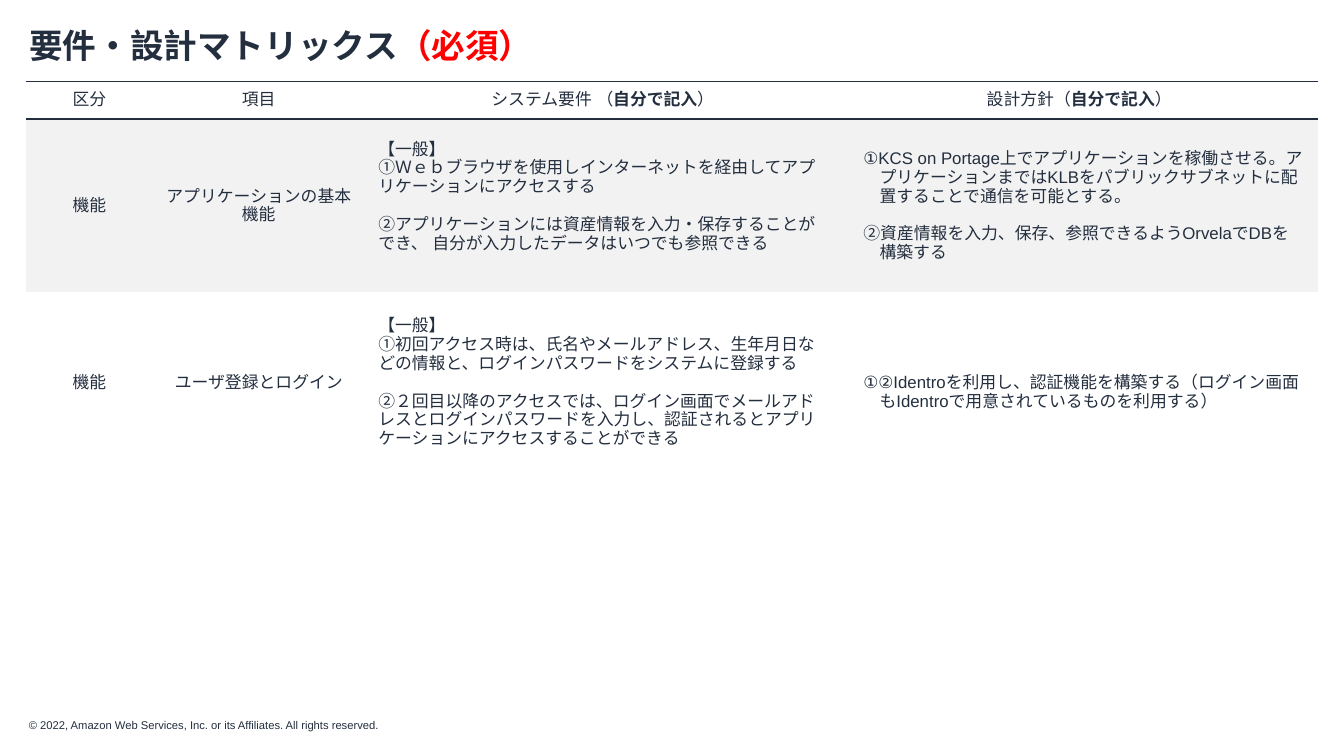
from dataclasses import dataclass

from lxml import etree
from pptx import Presentation
from pptx import util as u
from pptx.dml.color import RGBColor
from pptx.enum import text
from pptx.oxml.ns import qn


@dataclass(frozen=True)
class Theme:
    font: str = "Arial"
    ink: str = "232E3E"
    accent: str = "FF0000"
    band: str = "F2F2F2"
    paper: str = "FFFFFF"
    title_size: float = 18
    body_size: float = 9
    footer_size: float = 6
    rule: float = 0.75
    group_gap: float = 10


THEME = Theme()
WIDTH = u.Inches(10)
HEIGHT = WIDTH * 9 // 16
PLAIN_TABLE_STYLE = "{2D5ABB26-0587-4C30-8999-92F81FD0307C}"

# Shares of the slide, in percent
COLUMNS = [9.4, 15.8, 35.4, 35.5]
ROWS = [5, 22.9, 23.9]

# Cell margins at top and bottom, in inches
EVEN, LOWERED, RAISED = (0.05, 0.05), (0.19, 0.05), (0.05, 0.19)

HEADER = [
    [("区分", False)],
    [("項目", False)],
    [("システム要件 （", False), ("自分で記入", True), ("）", False)],
    [("設計方針（", False), ("自分で記入", True), ("）", False)],
]

# Each row: category, item, groups of lines for requirement and design,
# then the margins of those two cells
BODY = [
    ("機能", "アプリケーションの基本機能",
     [["【一般】",
       "①Ｗｅｂブラウザを使用しインターネットを経由してアプリケーションにアクセスする"],
      ["②アプリケーションには資産情報を入力・保存することができ、 "
       "自分が入力したデータはいつでも参照できる"]],
     [["①KCS on Portage上でアプリケーションを稼働させる。アプリケーションまでは"
       "KLBをパブリックサブネットに配置することで通信を可能とする。"],
      ["②資産情報を入力、保存、参照できるようOrvelaでDBを構築する"]],
     RAISED, EVEN),
    ("機能", "ユーザ登録とログイン",
     [["【一般】",
       "①初回アクセス時は、氏名やメールアドレス、生年月日などの情報と、"
       "ログインパスワードをシステムに登録する"],
      ["②２回目以降のアクセスでは、ログイン画面でメールアドレスとログインパスワードを入力し、"
       "認証されるとアプリケーションにアクセスすることができる"]],
     [["①②Identroを利用し、認証機能を構築する（ログイン画面も"
       "Identroで用意されているものを利用する）"]],
     EVEN, LOWERED),
]


def across(percent):
    return round(WIDTH * percent / 100)


def down(percent):
    return round(HEIGHT * percent / 100)


def add_run(paragraph, words, size, color=THEME.ink, bold=False):
    run = paragraph.add_run()
    run.text = words
    formats = {"name": THEME.font, "size": u.Pt(size), "bold": bold}
    for name, value in formats.items():
        setattr(run.font, name, value)
    run.font.color.rgb = RGBColor.from_string(color)
    # East Asian letters use the same font
    etree.SubElement(run._r.get_or_add_rPr(), qn("a:ea"), typeface=THEME.font)


def add_text(slide, box, runs, size, margins=(0, 0)):
    left, top, width, height = box
    shape = slide.shapes.add_textbox(
        across(left), down(top), across(width), down(height))
    side, end = (u.Inches(margin) for margin in margins)
    formats = {"word_wrap": True, "margin_left": side, "margin_right": side,
               "margin_top": end, "margin_bottom": end}
    for name, value in formats.items():
        setattr(shape.text_frame, name, value)
    for words, color, bold in runs:
        add_run(shape.text_frame.paragraphs[0], words, size, color, bold)


def add_border(cell, side, visible):
    line = etree.SubElement(cell._tc.get_or_add_tcPr(), qn(f"a:ln{side}"),
                            w=str(u.Pt(THEME.rule)))
    if visible:
        fill = etree.SubElement(line, qn("a:solidFill"))
        etree.SubElement(fill, qn("a:srgbClr"), val=THEME.ink)
    else:
        etree.SubElement(line, qn("a:noFill"))


def format_cell(cell, fill, rules="", margins=EVEN):
    top, bottom = margins
    formats = {"margin_left": u.Inches(0.1), "margin_right": u.Inches(0.1),
               "margin_top": u.Inches(top), "margin_bottom": u.Inches(bottom),
               "vertical_anchor": text.MSO_ANCHOR.MIDDLE}
    for name, value in formats.items():
        setattr(cell, name, value)
    for side in "LRTB":
        add_border(cell, side, side in rules)
    cell.fill.solid()
    cell.fill.fore_color.rgb = RGBColor.from_string(fill)


def write_label(cell, runs):
    paragraph = cell.text_frame.paragraphs[0]
    paragraph.alignment = text.PP_ALIGN.CENTER
    for words, bold in runs:
        add_run(paragraph, words, THEME.body_size, bold=bold)


def write_groups(cell, groups, hanging=False):
    frame = cell.text_frame
    for group_index, lines in enumerate(groups):
        for line_index, words in enumerate(lines):
            first = group_index == line_index == 0
            paragraph = frame.paragraphs[0] if first else frame.add_paragraph()
            if group_index and not line_index:
                paragraph.space_before = u.Pt(THEME.group_gap)
            if hanging:
                properties = paragraph._p.get_or_add_pPr()
                properties.set("marL", str(u.Inches(0.19)))
                properties.set("indent", str(u.Inches(-0.12)))
            add_run(paragraph, words, THEME.body_size)


def add_matrix(slide):
    frame = slide.shapes.add_table(
        len(ROWS), len(COLUMNS), across(1.95), down(10.75),
        across(sum(COLUMNS)), down(sum(ROWS)))
    table = frame.table
    table.first_row = table.horz_banding = False
    table._tbl.tblPr.find(qn("a:tableStyleId")).text = PLAIN_TABLE_STYLE
    for column, share in zip(table.columns, COLUMNS):
        column.width = across(share)
    for row, share in zip(table.rows, ROWS):
        row.height = down(share)

    # Header row
    for cell, runs in zip(table.rows[0].cells, HEADER):
        write_label(cell, runs)
        format_cell(cell, THEME.paper, rules="TB")

    # Body rows, banded from the first
    for index, (category, item, needs, design, *margins) in enumerate(BODY):
        cells = list(table.rows[index + 1].cells)
        write_label(cells[0], [(category, False)])
        write_label(cells[1], [(item, False)])
        write_groups(cells[2], needs)
        write_groups(cells[3], design, hanging=True)
        fill = THEME.paper if index % 2 else THEME.band
        for cell, cell_margins in zip(cells, [EVEN, EVEN, *margins]):
            format_cell(cell, fill, "" if index else "T", cell_margins)


def main():
    presentation = Presentation()
    presentation.slide_width, presentation.slide_height = WIDTH, HEIGHT
    slide = presentation.slides.add_slide(presentation.slide_layouts[6])

    # Copyright line
    add_text(slide, (2.15, 95, 45.3, 1.8),
             [("© 2022, Amazon Web Services, Inc. or its Affiliates. "
               "All rights reserved.", THEME.ink, False)],
             THEME.footer_size)

    # Title
    add_text(slide, (1.2, 2.4, 93.1, 10.7),
             [("要件・設計マトリックス", THEME.ink, True),
              ("（必須）", THEME.accent, True)],
             THEME.title_size, margins=(0.1, 0.05))

    # Requirement and design matrix
    add_matrix(slide)
    presentation.save("out.pptx")


if __name__ == "__main__":
    main()
